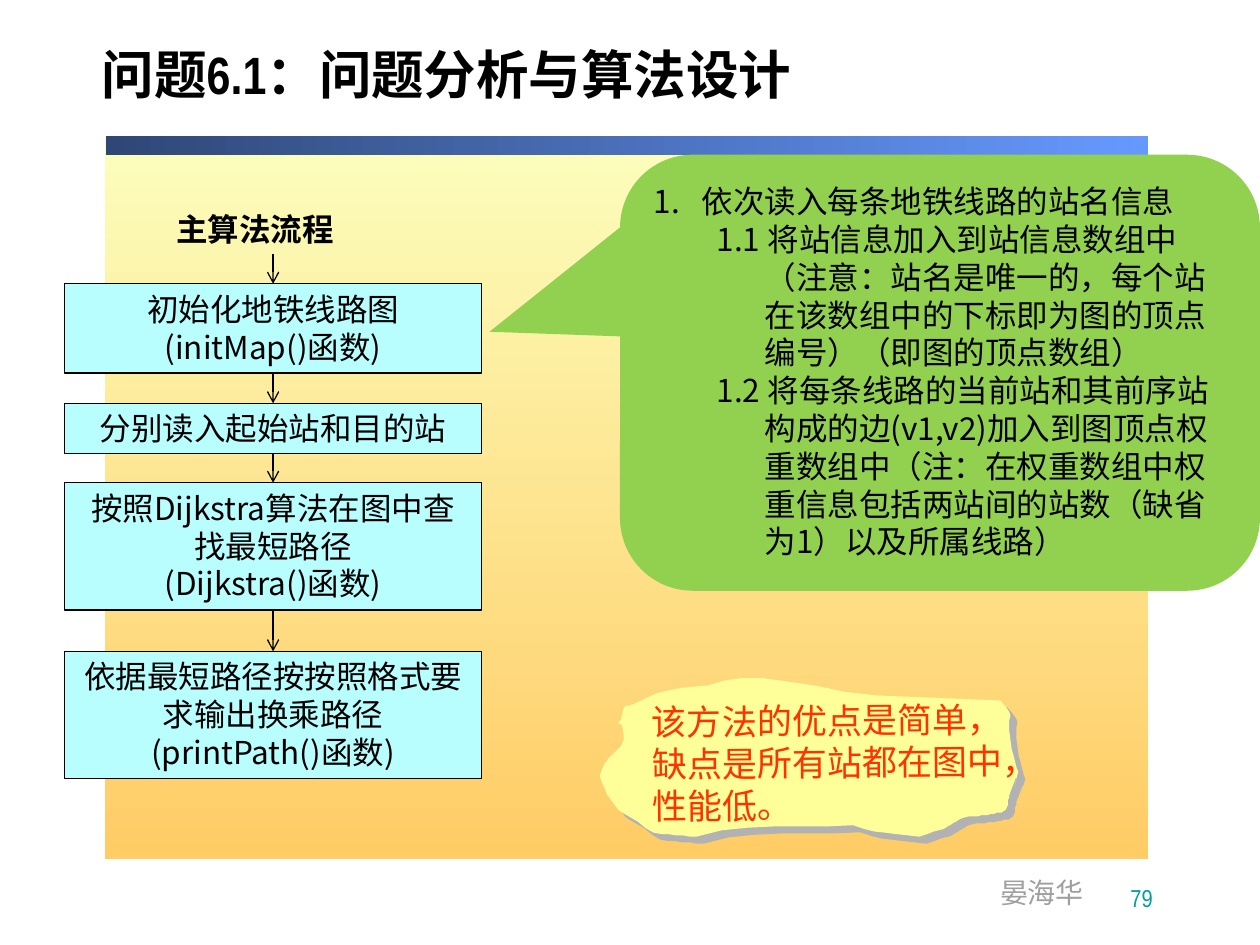
from itertools import pairwise

from lxml import etree
from pptx import Presentation
from pptx.dml.color import RGBColor
from pptx.enum.shapes import MSO_CONNECTOR, MSO_SHAPE
from pptx.enum.text import MSO_ANCHOR, PP_ALIGN
from pptx.oxml.ns import qn
from pptx.util import Cm, Pt

RECTANGLE = MSO_SHAPE.RECTANGLE
CALLOUT = MSO_SHAPE.ROUNDED_RECTANGULAR_CALLOUT
STRAIGHT = MSO_CONNECTOR.STRAIGHT
LEFT, CENTER, RIGHT = PP_ALIGN.LEFT, PP_ALIGN.CENTER, PP_ALIGN.RIGHT
TOP, MIDDLE, BOTTOM = MSO_ANCHOR.TOP, MSO_ANCHOR.MIDDLE, MSO_ANCHOR.BOTTOM

NARROW, SANS = "Arial Narrow", "Noto Sans CJK SC"
COLORS = {
    "black": "000000", "panel_top": "FCFEBC", "panel_bottom": "FFCC66",
    "band_left": "2F4776", "band_right": "6699FF", "author": "9F9F9F",
    "number": "009EA1", "step": "B9FEFF", "callout": "92D050",
    "note": "FFFF99", "note_shadow": "B2B2B2", "note_text": "FF3300",
}

STEP_LEFT, STEP_WIDTH = 1.3, 8.41
STEPS = [  # top, height, paragraphs
    (5.72, 1.8, ["初始化地铁线路图", "(initMap()函数)"]),
    (8.13, 1.02, ["分别读入起始站和目的站"]),
    (9.73, 2.57, ["按照Dijkstra算法在图中查找最短路径", "(Dijkstra()函数)"]),
    (13.13, 2.57, ["依据最短路径按按照格式要求输出换乘路径", "(printPath()函数)"]),
]
DETAILS = [
    "依次读入每条地铁线路的站名信息",
    "1.1 将站信息加入到站信息数组中（注意：站名是唯一的，每个站在该数组中的下标即为图的顶点编号）（即图的顶点数组）",
    "1.2 将每条线路的当前站和其前序站构成的边(v1,v2)加入到图顶点权重数组中（注：在权重数组中权重信息包括两站间的站数（缺省为1）以及所属线路）",
]
# Bezier outline of the note, in hundredths of an inch
NOTE_START = (493, 571)
NOTE_CURVES = [
    ((494, 568), (494, 564), (495, 562)), ((497, 559), (500, 560), (503, 559)),
    ((523, 546), (539, 547), (562, 544)), ((591, 532), (617, 541), (646, 544)),
    ((694, 556), (745, 553), (794, 556)), ((808, 574), (797, 556), (803, 595)),
    ((804, 601), (808, 613), (808, 613)), ((798, 651), (815, 590), (801, 631)),
    ((800, 635), (801, 640), (798, 643)), ((795, 646), (791, 645), (787, 646)),
    ((779, 647), (772, 648), (765, 649)), ((759, 651), (754, 655), (749, 658)),
    ((742, 660), (729, 664), (729, 664)), ((710, 662), (695, 661), (677, 655)),
    ((636, 658), (592, 652), (553, 664)), ((542, 663), (530, 663), (519, 661)),
    ((518, 661), (494, 644), (491, 643)), ((484, 634), (480, 628), (476, 616)),
    ((480, 603), (485, 601), (493, 592)), ((494, 589), (496, 586), (495, 583)),
    ((494, 568), (487, 578), (493, 571)),
]


def rgb(name):
    return RGBColor.from_string(COLORS[name])


def add_shadow(parent, color, distance):
    """Return a new effect list that casts a shadow down and to the right."""
    effects = etree.SubElement(parent, qn("a:effectLst"))
    shadow = etree.SubElement(effects, qn("a:outerShdw"), dist=str(Pt(distance)),
                              dir="2700000", algn="ctr", rotWithShape="0")
    etree.SubElement(shadow, qn("a:srgbClr"), val=COLORS[color])
    return effects


def write_text(shape, paragraphs, *, size=18, font=SANS, color="black", bold=False,
               align=LEFT, anchor=TOP, wrap=True, spacing=None, shadow=False):
    frame = shape.text_frame
    frame.word_wrap = wrap
    frame.vertical_anchor = anchor
    for index, text in enumerate(paragraphs):
        paragraph = frame.add_paragraph() if index else frame.paragraphs[0]
        paragraph.alignment = align
        paragraph.line_spacing = spacing
        run = paragraph.add_run()
        run.text = text
        run.font.size = Pt(size)
        run.font.name = font
        run.font.bold = bold
        run.font.color.rgb = rgb(color)
        properties = run.font._element
        latin = properties.find(qn("a:latin"))
        if shadow:
            latin.addprevious(add_shadow(properties, "black", 1.5))
        east_asian = etree.SubElement(properties, qn("a:ea"), typeface=SANS)
        latin.addnext(east_asian)


def add_text(slide, box, paragraphs, **text_format):
    shape = slide.shapes.add_textbox(*map(Cm, box))
    write_text(shape, paragraphs, **text_format)
    return shape


def add_block(slide, kind, box, fill=None, line=None):
    shape = slide.shapes.add_shape(kind, *map(Cm, box))
    shape.shadow.inherit = False
    if fill:
        shape.fill.solid()
        shape.fill.fore_color.rgb = rgb(fill)
    if line:
        shape.line.color.rgb = rgb(line)
        shape.line.width = Pt(0.75)
    else:
        shape.line.fill.background()
    return shape


def add_gradient_block(slide, box, colors, angle):
    shape = add_block(slide, RECTANGLE, box)
    shape.fill.gradient()
    shape.fill.gradient_angle = angle
    for stop, color, position in zip(shape.fill.gradient_stops, colors, (0, 1)):
        stop.color.rgb = rgb(color)
        stop.position = position


def add_arrow(slide, start, end_shape):
    """Arrow from a point to the top of a step."""
    arrow = slide.shapes.add_connector(STRAIGHT, *start, *start)
    arrow.end_connect(end_shape, 0)
    arrow.line.color.rgb = rgb("black")
    arrow.line.width = Pt(0.75)
    etree.SubElement(arrow.line._get_or_add_ln(), qn("a:tailEnd"), type="arrow")
    etree.SubElement(arrow._element.spPr, qn("a:effectLst"))
    return arrow


def add_flow(slide):
    add_text(slide, (3.3, 4.11, 3.71, 1.02), ["主算法流程"], bold=True)
    steps = []
    for top, height, paragraphs in STEPS:
        step = add_block(slide, RECTANGLE, (STEP_LEFT, top, STEP_WIDTH, height),
                         "step", "black")
        write_text(step, paragraphs, align=CENTER)
        steps.append(step)
    middle = Cm(STEP_LEFT + STEP_WIDTH / 2)
    add_arrow(slide, (middle, Cm(5.13)), steps[0])
    for upper, lower in pairwise(steps):
        arrow = add_arrow(slide, (middle, upper.top + upper.height), lower)
        arrow.begin_connect(upper, 2)


def add_callout(slide):
    callout = add_block(slide, CALLOUT, (12.5, 3.12, 12.9, 8.79), "callout")
    for index, value in enumerate((-0.704, -0.094, 0.167)):
        callout.adjustments[index] = value
    write_text(callout, DETAILS)
    for index, paragraph in enumerate(callout.text_frame.paragraphs):
        paragraph.level = min(index, 1)
        properties = paragraph._p.get_or_add_pPr()
        properties.set("marL", str(Cm(2.24 if index else 0.97)))
        properties.set("indent", str(Cm(-0.97)))
        if index == 0:
            etree.SubElement(properties, qn("a:buAutoNum"), type="arabicPeriod")


def flatten(start, curves, pieces=6):
    """Points along a chain of cubic Bezier curves."""
    points = []
    for first, second, end in curves:
        for step in range(1, pieces + 1):
            t = step / pieces
            weights = ((1 - t) ** 3, 3 * t * (1 - t) ** 2, 3 * t * t * (1 - t), t ** 3)
            points.append(tuple(
                sum(weight * value for weight, value in zip(weights, axis))
                for axis in zip(start, first, second, end)))
        start = end
    return points


def add_note(slide):
    builder = slide.shapes.build_freeform(*NOTE_START, scale=Cm(2.54) / 100)
    builder.add_line_segments(flatten(NOTE_START, NOTE_CURVES), close=True)
    note = builder.convert_to_shape()
    note.fill.solid()
    note.fill.fore_color.rgb = rgb("note")
    note.line.fill.background()
    add_shadow(note._element.spPr, "note_shadow", 5.7)
    text = add_text(slide, (12.9, 13.97, 7.62, 3.35),
                    ["该方法的优点是简单，缺点是所有站都在图中，性能低。"],
                    size=20, font=NARROW, color="note_text", shadow=True)
    text.rotation = -0.5


def main():
    presentation = Presentation()
    presentation.slide_width, presentation.slide_height = Cm(25.4), Cm(19.05)
    slide = presentation.slides.add_slide(presentation.slide_layouts[6])
    add_gradient_block(slide, (2.11, 2.79, 21.03, 14.53), ("panel_top", "panel_bottom"), 270)
    add_gradient_block(slide, (2.13, 2.74, 21.01, 0.38), ("band_left", "band_right"), 0)
    add_text(slide, (19.91, 17.53, 2.21, 0.94), ["晏海华"], size=16, font=NARROW,
             color="author", wrap=False)
    add_text(slide, (1.8, 0.43, 22.76, 2.34), ["问题6.1：问题分析与算法设计"], size=30,
             font=NARROW, bold=True, anchor=MIDDLE, spacing=0.8)
    add_text(slide, (18.69, 17.3, 4.8, 1.22), ["79"], size=14, font=NARROW,
             color="number", align=RIGHT, anchor=BOTTOM)
    add_flow(slide)
    add_callout(slide)
    add_note(slide)
    presentation.save("out.pptx")


if __name__ == "__main__":
    main()
